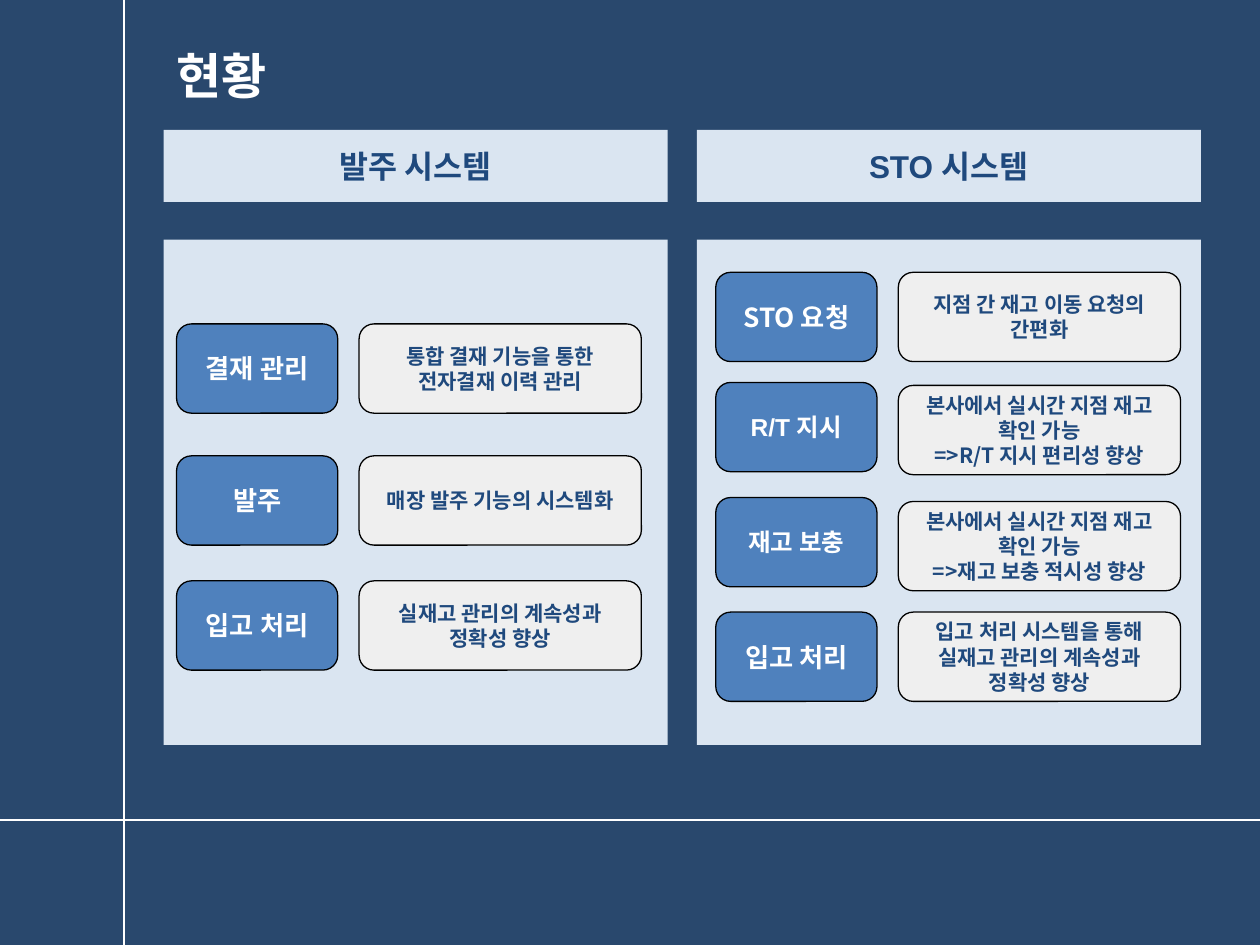
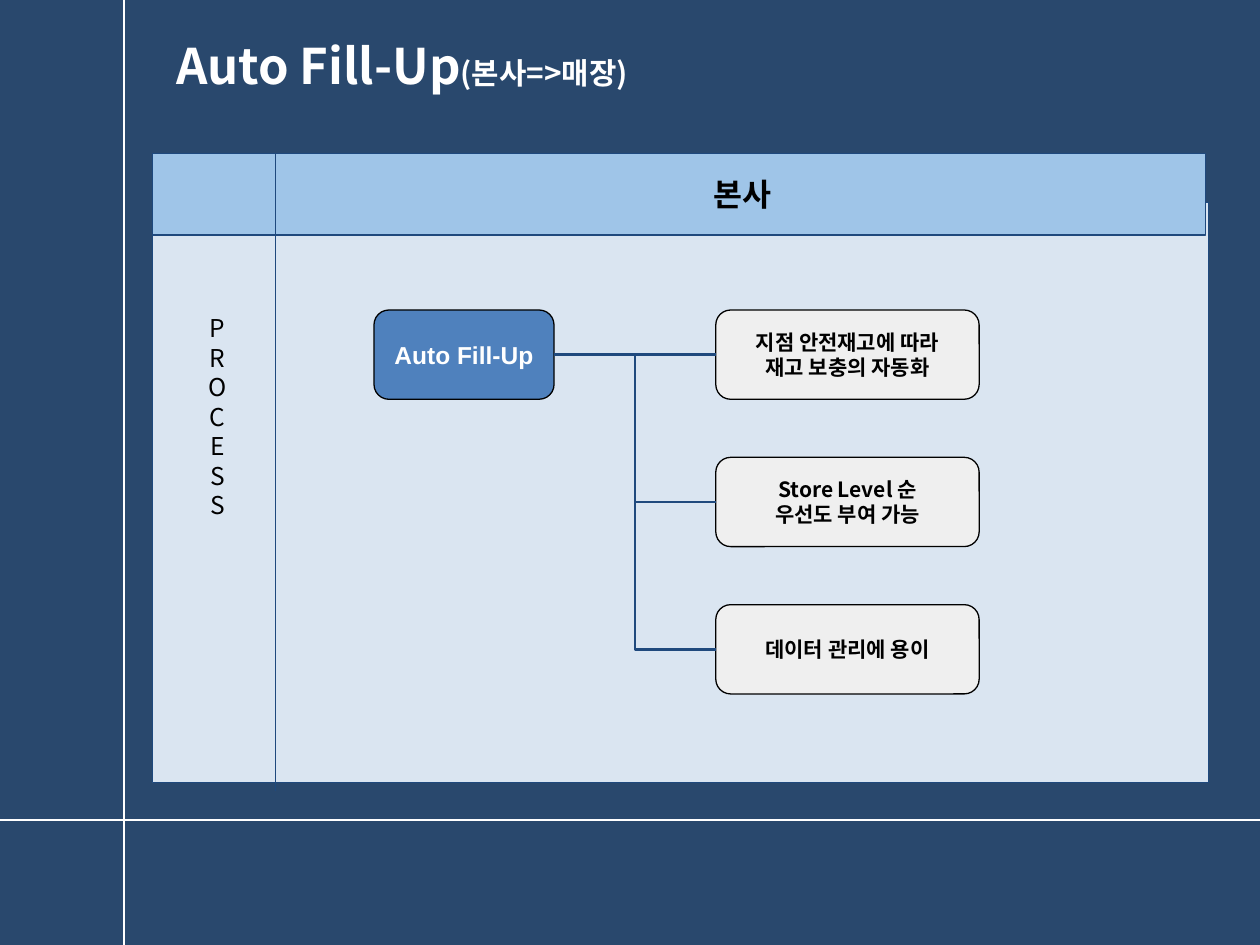
from lxml import etree
from pptx import Presentation
from pptx.dml.color import RGBColor
from pptx.enum.shapes import MSO_CONNECTOR, MSO_SHAPE
from pptx.enum.text import MSO_ANCHOR, MSO_AUTO_SIZE, PP_ALIGN
from pptx.oxml.ns import qn
from pptx.util import Cm, Pt

RECT, ROUND = MSO_SHAPE.RECTANGLE, MSO_SHAPE.ROUNDED_RECTANGLE
STRAIGHT, ELBOW = MSO_CONNECTOR.STRAIGHT, MSO_CONNECTOR.ELBOW
LEFT, CENTER = PP_ALIGN.LEFT, PP_ALIGN.CENTER
TOP, MIDDLE = MSO_ANCHOR.TOP, MSO_ANCHOR.MIDDLE
RIGHT_SIDE, LEFT_SIDE = 3, 1

# Shared look
NAVY, WHITE, BLACK = "29486D", "FFFFFF", "000000"
PANEL, HEADER, BLUE, GREY, INK = "DAE5F1", "9FC5E8", "4F81BD", "EFEFEF", "1F497D"
NOTO, ARIAL = "Noto Sans CJK KR", "Arial"
SLIDE_W, SLIDE_H = 25.4, 19.05
BOX_H = 1.8

# Slide 1: (label, label font, label size, label top, description, description top)
ORDER_ROWS = [
    ("결재 관리", NOTO, 15, 6.53, "통합 결재 기능을 통한\v전자결재 이력 관리", 6.53),
    ("발주", NOTO, 15, 9.19, "매장 발주 기능의 시스템화", 9.19),
    ("입고 처리", NOTO, 15, 11.71, "실재고 관리의 계속성과\v정확성 향상", 11.71),
]
STO_ROWS = [
    ("STO 요청", NOTO, 15, 5.49, "지점 간 재고 이동 요청의\v간편화", 5.49),
    ("R/T 지시", ARIAL, 14, 7.71,
     "본사에서 실시간 지점 재고\v확인 가능\n=>R/T 지시 편리성 향상", 7.77),
    ("재고 보충", ARIAL, 14, 10.03,
     "본사에서 실시간 지점 재고\v확인 가능\n=>재고 보충 적시성 향상", 10.11),
    ("입고 처리", NOTO, 15, 12.34,
     "입고 처리 시스템을 통해\v실재고 관리의 계속성과\v정확성 향상", 12.34),
]
# Slide 2
BENEFITS = [
    "지점 안전재고에 따라\v재고 보충의 자동화",
    "Store Level 순\n우선도 부여 가능",
    "데이터 관리에 용이",
]


def rgb(color):
    return RGBColor.from_string(color)


def style_run(r, size=12, color=BLACK, font=NOTO, bold=True):
    r.font.size, r.font.bold, r.font.name = Pt(size), bold, font
    r.font.color.rgb = rgb(color)
    ea = etree.SubElement(r.font._element, qn("a:ea"))
    ea.set("typeface", NOTO)


def write(tf, text, align=CENTER, anchor=MIDDLE, inset=0.13, **fmt):
    """Fill a frame: a newline starts a paragraph, a vertical tab a line."""
    tf.word_wrap, tf.auto_size = True, MSO_AUTO_SIZE.NONE
    tf.vertical_anchor = anchor
    tf.margin_left = tf.margin_right = Cm(0.25)
    tf.margin_top = tf.margin_bottom = Cm(inset)
    tf.text = text
    for p in tf.paragraphs:
        p.alignment = align
        p.line_spacing = Pt(fmt.get("size", 12) * 1.2)
        for r in p.runs:
            style_run(r, **fmt)


def add_box(s, kind, x, y, w, h, fill, line=None, text=None, **fmt):
    sp = s.shapes.add_shape(kind, Cm(x), Cm(y), Cm(w), Cm(h))
    sp.shadow.inherit = False
    sp.fill.solid()
    sp.fill.fore_color.rgb = rgb(fill)
    if line:
        sp.line.color.rgb = rgb(line)
        sp.line.width = Pt(0.75)
    else:
        sp.line.fill.background()
    if text:
        write(sp.text_frame, text, **fmt)
    return sp


def add_label(s, x, y, w, text, **fmt):
    return add_box(s, ROUND, x, y, w, BOX_H, BLUE, BLACK, text, color=WHITE, **fmt)


def add_description(s, x, y, w, text, color):
    return add_box(s, ROUND, x, y, w, BOX_H, GREY, BLACK, text, color=color)


def add_text(s, x, y, w, h, text, **fmt):
    sp = s.shapes.add_textbox(Cm(x), Cm(y), Cm(w), Cm(h))
    write(sp.text_frame, text, anchor=TOP, inset=0.25, **fmt)


def add_line(s, x1, y1, x2, y2, color, width=0.75, kind=STRAIGHT):
    c = s.shapes.add_connector(kind, Cm(x1), Cm(y1), Cm(x2), Cm(y2))
    c.line.color.rgb = rgb(color)
    c.line.width = Pt(width)
    etree.SubElement(c._element.spPr, qn("a:effectLst"))
    return c


def join(s, start, end, kind):
    c = add_line(s, 0, 0, 1, 1, INK, 1.5, kind)
    c.begin_connect(start, RIGHT_SIDE)
    c.end_connect(end, LEFT_SIDE)


def add_slide(prs, title, y, w, h):
    """Add a slide with the crossing rules and its title."""
    s = prs.slides.add_slide(prs.slide_layouts[5])
    add_line(s, 0, 16.53, SLIDE_W, 16.53, WHITE)
    add_line(s, 2.5, 0, 2.5, SLIDE_H, WHITE)
    sp = s.shapes.title
    sp.left, sp.top, sp.width, sp.height = Cm(3.3), Cm(y), Cm(w), Cm(h)
    write(sp.text_frame, title, align=LEFT, anchor=TOP, size=28, color=WHITE)
    return s


def add_system(s, x, heading, label_x, rows):
    """Draw one column: heading, panel, and rows of label and description."""
    add_box(s, RECT, x, 4.83, 10.16, 10.19, PANEL)
    add_box(s, RECT, x, 2.62, 10.16, 1.45, PANEL, text=heading,
            size=18, color=INK, font=ARIAL)
    for label, font, size, label_y, text, text_y in rows:
        add_label(s, label_x, label_y, 3.25, label, font=font, size=size)
        add_description(s, label_x + 3.68, text_y, 5.69, text, INK)


def build_status(prs):
    s = add_slide(prs, "현황", 0.79, 12.73, 1.6)
    add_system(s, 3.3, "발주 시스템", 3.56, ORDER_ROWS)
    add_system(s, 14.05, "STO 시스템", 14.43, STO_ROWS)


def build_fill_up(prs):
    s = add_slide(prs, "Auto Fill-Up", 0.58, 17.04, 1.45)
    r = s.shapes.title.text_frame.paragraphs[0].add_run()
    r.text = "(본사=>매장)"
    style_run(r, size=17, color=WHITE)

    # Process frame
    add_box(s, RECT, 3.07, 3.28, 21.23, 12.5, PANEL, INK)
    add_box(s, RECT, 5.56, 4.09, 18.8, 11.68, PANEL, INK)
    add_box(s, RECT, 3.07, 3.1, 21.23, 1.64, HEADER, INK)
    add_line(s, 5.56, 3.1, 5.56, 15.95, INK)
    add_text(s, 12.75, 3.28, 4.42, 1.27, "본사", size=18)
    add_text(s, 3.61, 6.07, 1.55, 4.7, "\n".join("PROCESS"), size=14, bold=False)

    # Feature and its benefits
    top, step = 6.25, 2.97
    feature = add_label(s, 7.54, top, 3.63, "Auto Fill-Up", font=ARIAL, size=14)
    for i, text in enumerate(BENEFITS):
        benefit = add_description(s, 14.43, top + i * step, 5.31, text, BLACK)
        join(s, feature, benefit, ELBOW if i else STRAIGHT)


def main():
    prs = Presentation()
    prs.slide_width, prs.slide_height = Cm(SLIDE_W), Cm(SLIDE_H)
    fill = prs.slide_master.background.fill
    fill.solid()
    fill.fore_color.rgb = rgb(NAVY)
    build_status(prs)
    build_fill_up(prs)
    prs.save("out.pptx")


if __name__ == "__main__":
    main()
